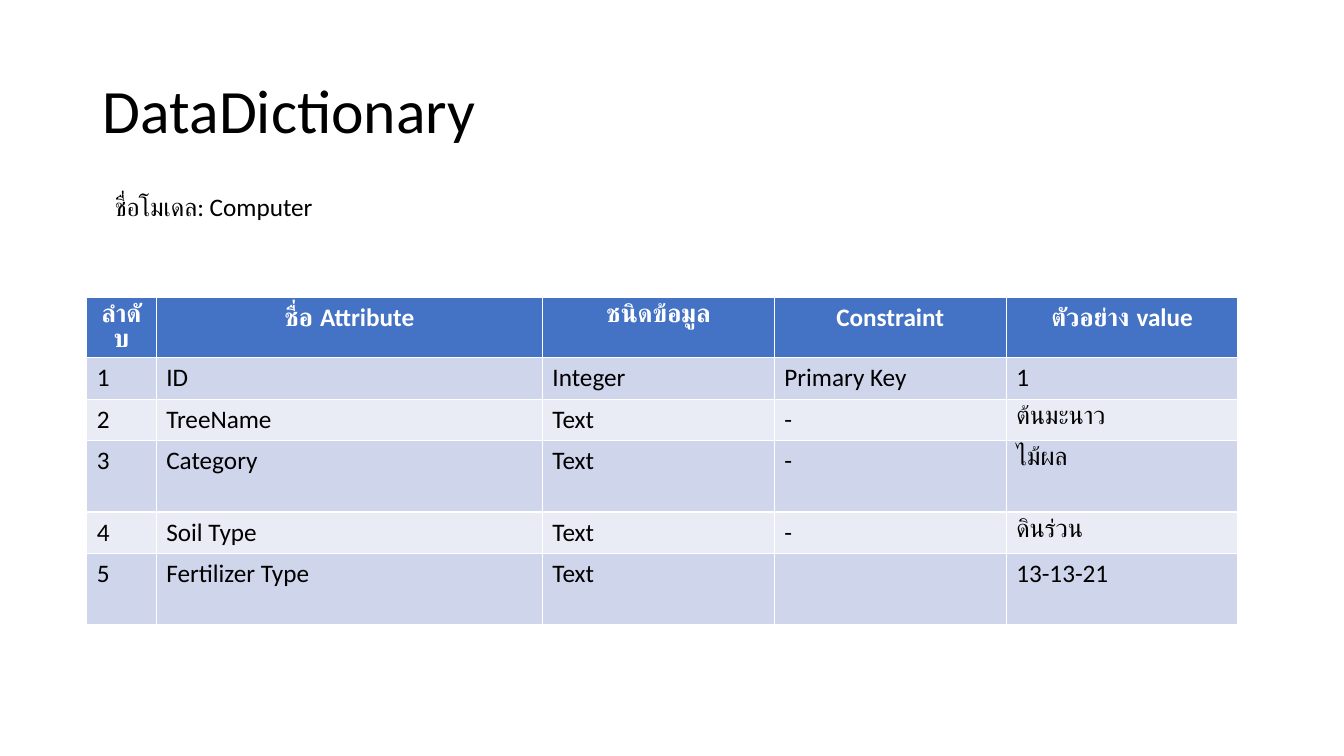
from pptx import Presentation
from pptx.dml.color import RGBColor
from pptx.enum import text as t
from pptx.util import Inches, Pt

BLACK = RGBColor(0x00, 0x00, 0x00)
WHITE = RGBColor(0xFF, 0xFF, 0xFF)
BLUE = RGBColor(0x44, 0x72, 0xC4)
BANDS = RGBColor(0xCF, 0xD5, 0xEA), RGBColor(0xE9, 0xEB, 0xF5)
FONT = "Calibri"

HEAD = ["ลำดับ", "ชื่อ Attribute", "ชนิดข้อมูล", "Constraint", "ตัวอย่าง value"]
FIELDS = [
    ["1", "ID", "Integer", "Primary Key", "1"],
    ["2", "TreeName", "Text", "-", "ต้นมะนาว"],
    ["3", "Category", "Text", "-", "ไม้ผล"],
    ["4", "Soil Type", "Text", "-", "ดินร่วน"],
    ["5", "Fertilizer Type", "Text", "", "13-13-21"],
]
WIDTHS = [0.69, 3.83, 2.3, 2.3, 2.3]
HEIGHTS = [0.59, 0.41, 0.41, 0.71, 0.41, 0.71]


def place(shape, left, top, width, height):
    shape.left, shape.top = Inches(left), Inches(top)
    shape.width, shape.height = Inches(width), Inches(height)


def write(frame, words, size=18, color=BLACK, bold=False, align=t.PP_ALIGN.LEFT):
    frame.text = words
    par = frame.paragraphs[0]
    par.alignment = align
    for run in par.runs:
        font = run.font
        font.name, font.size, font.bold = FONT, Pt(size), bold
        font.color.rgb = color


def add_title(slide, words):
    title = slide.shapes.title
    place(title, 0.92, 0.4, 11.5, 1.45)
    write(title.text_frame, words, 44)
    title.text_frame.vertical_anchor = t.MSO_ANCHOR.MIDDLE
    title.text_frame.paragraphs[0].line_spacing = 0.9


def add_label(slide, words):
    box = slide.shapes.add_textbox(
        Inches(1.04), Inches(1.85), Inches(4.09), Inches(0.4))
    box.text_frame.word_wrap = True
    write(box.text_frame, words)


def fill_cell(cell, words, fill, **style):
    cell.fill.solid()
    cell.fill.fore_color.rgb = fill
    write(cell.text_frame, words, **style)


def add_fields(slide):
    """Add the table; its built-in style draws the white rules."""
    table = slide.shapes.add_table(
        len(FIELDS) + 1, len(HEAD), Inches(0.86), Inches(2.95),
        Inches(sum(WIDTHS)), Inches(sum(HEIGHTS))).table
    for col, width in zip(table.columns, WIDTHS):
        col.width = Inches(width)
    for row, height in zip(table.rows, HEIGHTS):
        row.height = Inches(height)
    for c, words in enumerate(HEAD):
        fill_cell(table.cell(0, c), words, BLUE, color=WHITE, bold=True,
                  align=t.PP_ALIGN.CENTER)
    for r, field in enumerate(FIELDS):
        for c, words in enumerate(field):
            fill_cell(table.cell(r + 1, c), words, BANDS[r % 2])


def main():
    deck = Presentation()
    deck.slide_width, deck.slide_height = Inches(13.33), Inches(7.5)
    slide = deck.slides.add_slide(deck.slide_layouts[5])
    add_title(slide, "DataDictionary")
    add_fields(slide)
    add_label(slide, "ชื่อโมเดล: Computer")
    deck.save("out.pptx")


if __name__ == "__main__":
    main()
